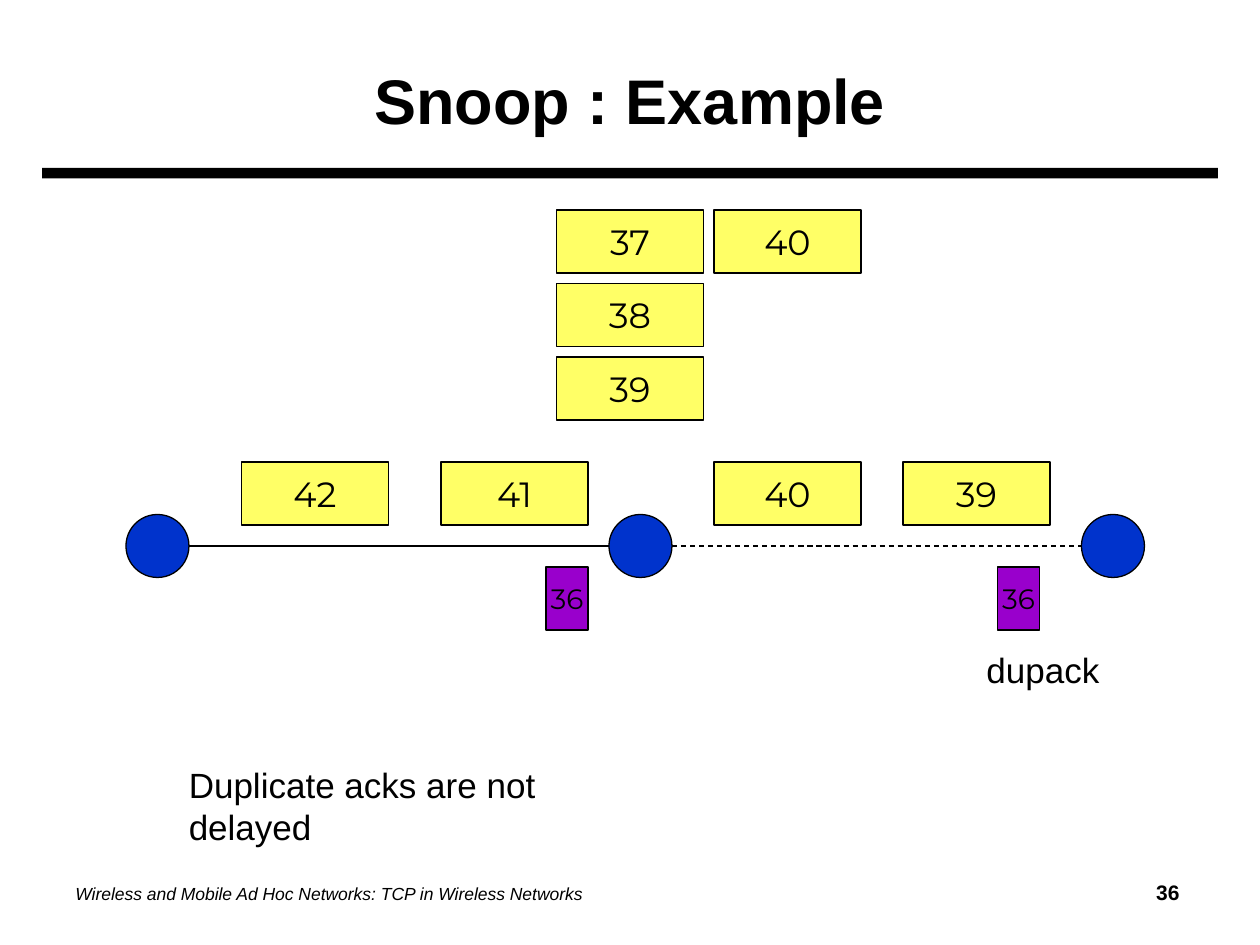
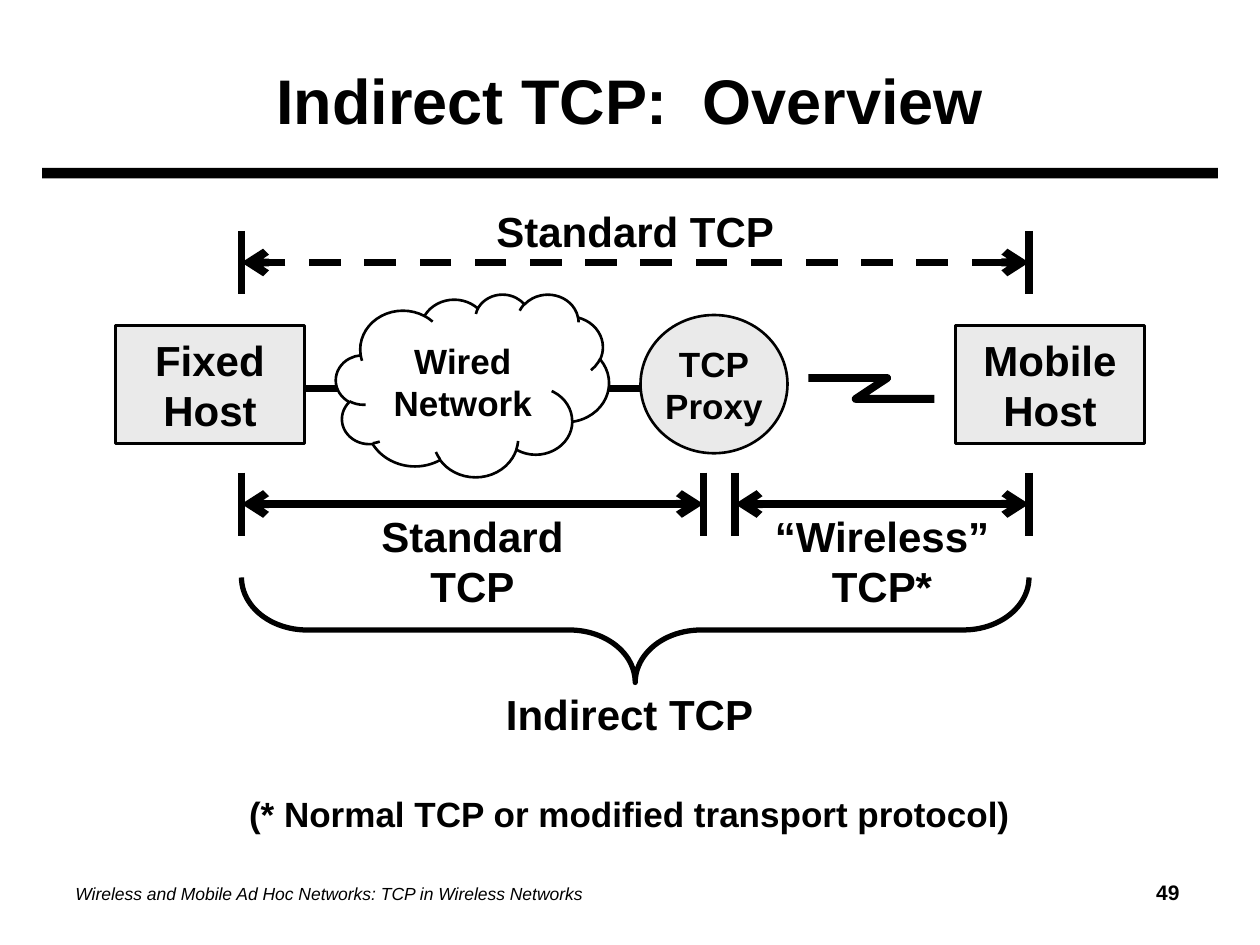
from dataclasses import dataclass

from lxml.etree import SubElement
from pptx import Presentation
from pptx.dml.color import RGBColor
from pptx.enum.dml import MSO_LINE
from pptx.enum.shapes import MSO_CONNECTOR, MSO_SHAPE
from pptx.enum.text import MSO_ANCHOR, PP_ALIGN
from pptx.oxml.ns import qn
from pptx.util import Pt

COLOURS = {
    "black": "000000",
    "white": "FFFFFF",
    "node": "0033CC",
    "packet": "FFFF66",
    "ack": "9900CC",
    "host": "EAEAEA",
}
BODY_FONT = "Arial"
PACKET_FONT = "Montserrat"
FOOTER = "Wireless and Mobile Ad Hoc Networks: TCP in Wireless Networks"
FOOTER_TABS = ((315, "ctr"), (631, "r"))
TICK_REACH = 18


@dataclass(frozen=True)
class TextStyle:
    size: float
    bold: bool = False
    italic: bool = False
    font: str = BODY_FONT


@dataclass(frozen=True)
class Box:
    left: float
    top: float
    width: float
    height: float
    text: str = ""
    fill: str | None = None
    line_width: float = 0.75
    kind: MSO_SHAPE = MSO_SHAPE.RECTANGLE


@dataclass(frozen=True)
class Label:
    left: float
    top: float
    width: float
    height: float
    text: str
    style: TextStyle
    alignment: PP_ALIGN = PP_ALIGN.CENTER
    anchor: MSO_ANCHOR = MSO_ANCHOR.TOP
    wrap: bool = True


@dataclass(frozen=True)
class Line:
    start: tuple[float, float]
    end: tuple[float, float]
    width: float
    dashed: bool = False
    arrows: bool = False


@dataclass(frozen=True)
class Span:
    left: float
    right: float
    y: float
    dashed: bool = False


TITLE = TextStyle(36, bold=True)
PLAIN = TextStyle(20)
STRONG = TextStyle(20, bold=True)
HEADING = TextStyle(24, bold=True)
PACKET = TextStyle(20, font=PACKET_FONT)
ACK = TextStyle(16, font=PACKET_FONT)
FOOTER_TEXT = TextStyle(10, italic=True)
PAGE_NUMBER = TextStyle(12, bold=True)


def colour(name: str) -> RGBColor:
    return RGBColor.from_string(COLOURS[name])


def style_run(run, style: TextStyle) -> None:
    run.font.name = style.font
    run.font.size = Pt(style.size)
    run.font.bold = style.bold
    run.font.italic = style.italic
    run.font.color.rgb = colour("black")


def write(text_frame, text: str, style: TextStyle, alignment: PP_ALIGN,
          anchor: MSO_ANCHOR, wrap: bool) -> None:
    text_frame.word_wrap = wrap
    text_frame.vertical_anchor = anchor
    text_frame.text = text
    for paragraph in text_frame.paragraphs:
        paragraph.alignment = alignment
        for run in paragraph.runs:
            style_run(run, style)


def draw_outline(shape, width: float) -> None:
    shape.shadow.inherit = False
    shape.line.color.rgb = colour("black")
    shape.line.width = Pt(width)


def draw_box(slide, box: Box, style: TextStyle = PLAIN, wrap: bool = False):
    shape = slide.shapes.add_shape(
        box.kind, Pt(box.left), Pt(box.top), Pt(box.width), Pt(box.height))
    draw_outline(shape, box.line_width)
    if box.fill:
        shape.fill.solid()
        shape.fill.fore_color.rgb = colour(box.fill)
    else:
        shape.fill.background()
    if box.text:
        write(shape.text_frame, box.text, style, PP_ALIGN.CENTER, MSO_ANCHOR.MIDDLE, wrap)
    return shape


def draw_label(slide, label: Label):
    text_box = slide.shapes.add_textbox(
        Pt(label.left), Pt(label.top), Pt(label.width), Pt(label.height))
    write(text_box.text_frame, label.text, label.style, label.alignment,
          label.anchor, label.wrap)
    return text_box


def draw_line(slide, line: Line) -> None:
    ends = [Pt(value) for value in (*line.start, *line.end)]
    connector = slide.shapes.add_connector(MSO_CONNECTOR.STRAIGHT, *ends)
    connector.line.color.rgb = colour("black")
    connector.line.width = Pt(line.width)
    if line.dashed:
        connector.line.dash_style = MSO_LINE.DASH
    properties = connector._element.spPr
    if line.arrows:
        outline = properties.find(qn("a:ln"))
        for end in ("a:headEnd", "a:tailEnd"):
            SubElement(outline, qn(end), type="arrow")
    SubElement(properties, qn("a:effectLst"))


def draw_span(slide, span: Span) -> None:
    for x in (span.left, span.right):
        draw_line(slide, Line((x, span.y - TICK_REACH), (x, span.y + TICK_REACH), 4.5))
    draw_line(slide, Line((span.right, span.y), (span.left, span.y), 4.5, span.dashed, True))


def draw_footer(slide, page: int) -> None:
    footer = draw_label(slide, Label(36, 492, 648, 36, FOOTER, FOOTER_TEXT,
                                     PP_ALIGN.LEFT, MSO_ANCHOR.MIDDLE))
    paragraph = footer.text_frame.paragraphs[0]
    tabs = SubElement(paragraph._p.get_or_add_pPr(), qn("a:tabLst"))
    for position, alignment in FOOTER_TABS:
        SubElement(tabs, qn("a:tab"), pos=str(Pt(position)), algn=alignment)
    run = paragraph.add_run()
    run.text = f"\t\t{page}"
    style_run(run, PAGE_NUMBER)


def add_frame(presentation, title: str, page: int):
    slide = presentation.slides.add_slide(presentation.slide_layouts[6])
    slide.background.fill.solid()
    slide.background.fill.fore_color.rgb = colour("white")
    rule = draw_box(slide, Box(24, 96, 672, 6, fill="black"))
    rule.line.fill.background()
    draw_footer(slide, page)
    draw_label(slide, Label(36, 18, 648, 78, title, TITLE, anchor=MSO_ANCHOR.MIDDLE))
    return slide


def build_snoop_example(presentation) -> None:
    slide = add_frame(presentation, "Snoop : Example", 36)
    for left in (72, 348, 618):
        draw_box(slide, Box(left, 294, 36, 36, fill="node", kind=MSO_SHAPE.OVAL))
    draw_line(slide, Line((108, 312), (348, 312), 0.75))
    draw_line(slide, Line((384, 312), (618, 312), 0.75, dashed=True))

    in_flight = [(138, 264, 42), (252, 264, 41), (408, 264, 40), (516, 264, 39)]
    cached = [(318, 120 + 42 * row, 37 + row) for row in range(3)] + [(408, 120, 40)]
    for left, top, number in in_flight + cached:
        draw_box(slide, Box(left, top, 84, 36, str(number), "packet"), PACKET)
    for left in (312, 570):
        draw_box(slide, Box(left, 324, 24, 36, "36", "ack"), ACK)

    for label in (
        Label(100.8, 432.7, 288, 31.5, "Duplicate acks are not delayed", PLAIN,
              PP_ALIGN.LEFT, wrap=False),
        Label(556.6, 367.2, 79, 31.5, "dupack", PLAIN, PP_ALIGN.LEFT, wrap=False),
    ):
        draw_label(slide, label)


def draw_wireless_link(slide) -> None:
    points = [(Pt(x), Pt(y)) for x, y in ((462, 216), (507, 216), (489, 228), (534, 228))]
    builder = slide.shapes.build_freeform(*points[0], scale=1.0)
    builder.add_line_segments(points[1:], close=False)
    link = builder.convert_to_shape()
    link.fill.background()
    draw_outline(link, 4.5)


def build_indirect_overview(presentation) -> None:
    slide = add_frame(presentation, "Indirect TCP:  Overview", 49)
    draw_line(slide, Line((120, 222), (432, 222), 4.5))
    draw_box(slide, Box(192, 168, 156, 104.4, "Wired\vNetwork", "white", 1.5,
                        MSO_SHAPE.CLOUD), STRONG, wrap=True)
    for left, name in ((66, "Fixed"), (546, "Mobile")):
        draw_box(slide, Box(left, 186, 108, 67.5, f"{name}\vHost", "host", 1.5), HEADING)
    draw_box(slide, Box(366, 180, 84, 79, "TCP\vProxy", "host", 1.5, MSO_SHAPE.OVAL), STRONG)
    draw_wireless_link(slide)

    for span in (Span(138, 588, 150, dashed=True), Span(138, 402, 288), Span(420, 588, 288)):
        draw_span(slide, span)

    brace = draw_box(slide, Box(333, 135, 60, 450, line_width=3, kind=MSO_SHAPE.LEFT_BRACE))
    brace.adjustments[0] = 0.625
    brace.rotation = 270

    for label in (
        Label(138, 114, 450, 35, "Standard TCP", HEADING),
        Label(138, 288, 264, 64, "Standard\vTCP", HEADING),
        Label(426, 288, 156, 64, "“Wireless” TCP*", HEADING),
        Label(282, 390, 156, 35, "Indirect TCP", HEADING, PP_ALIGN.LEFT, wrap=False),
        Label(135, 449.5, 449.5, 31, "(* Normal TCP or modified transport protocol)",
              STRONG, wrap=False),
    ):
        draw_label(slide, label)


def main() -> None:
    presentation = Presentation()
    presentation.slide_width = Pt(720)
    presentation.slide_height = Pt(540)
    build_snoop_example(presentation)
    build_indirect_overview(presentation)
    presentation.save("out.pptx")


if __name__ == "__main__":
    main()
